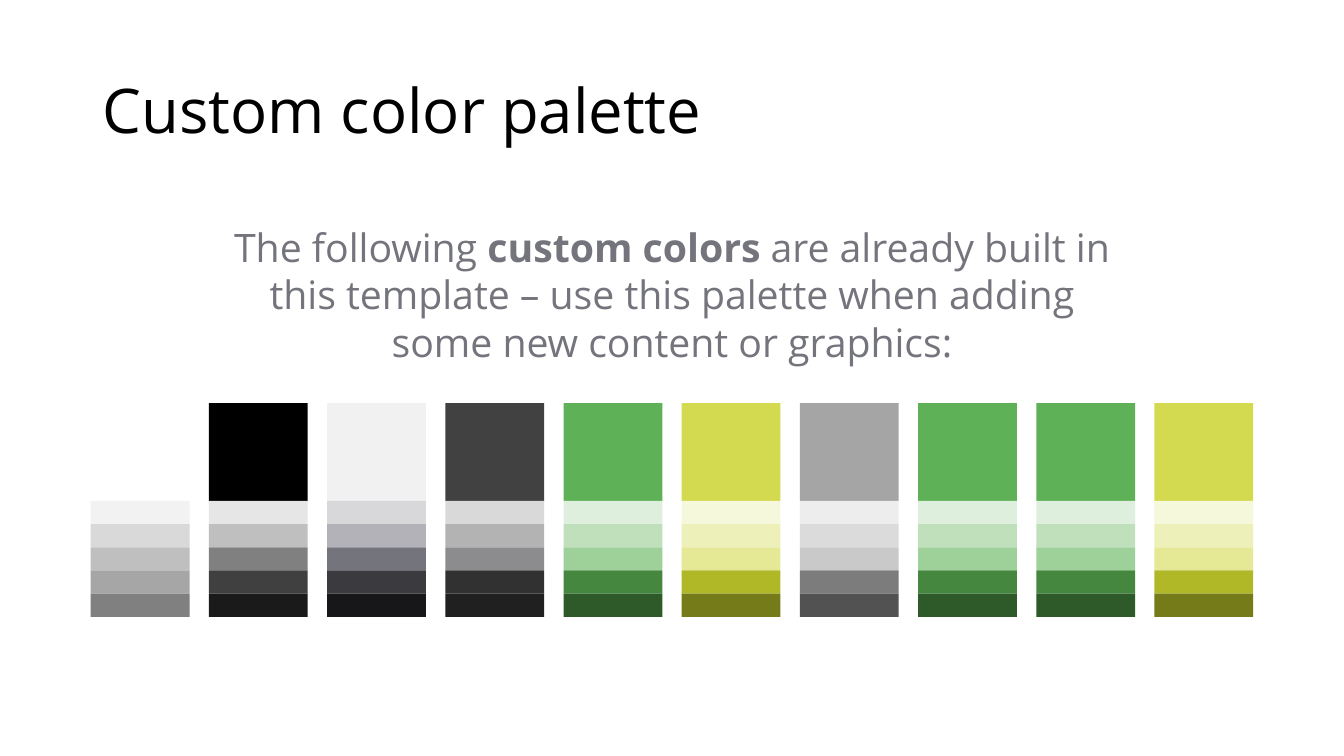
import pptx
import pptx.dml.color
import pptx.enum.shapes
import pptx.enum.text
import pptx.util

Inches = pptx.util.Inches
Pt = pptx.util.Pt
PP_ALIGN = pptx.enum.text.PP_ALIGN
MSO_ANCHOR = pptx.enum.text.MSO_ANCHOR

WHITES = ["FFFFFF", "F2F2F2", "D9D9D9", "BFBFBF", "A6A6A6", "808080"]
BLACKS = ["000000", "E6E6E6", "BFBFBF", "808080", "404040", "1A1A1A"]
PALE_GRAYS = ["F1F1F2", "D8D8DB", "B2B2B8", "74747D", "3A3A3F", "171719"]
DARK_GRAYS = ["414142", "D9D9D9", "B3B3B4", "8C8C8E", "313132", "202021"]
GREENS = ["5EB156", "DFEFDD", "BFE0BB", "9ED09A", "45873E", "2E5A2A"]
LIMES = ["D3DA50", "F6F8DC", "EDF0B9", "E5E996", "B1B827", "767B1A"]
MID_GRAYS = ["A5A5A5", "EDEDED", "DBDBDB", "C9C9C9", "7C7C7C", "525252"]
PALETTE = [WHITES, BLACKS, PALE_GRAYS, DARK_GRAYS, GREENS,
           LIMES, MID_GRAYS, GREENS, GREENS, LIMES]

PALETTE_LEFT, PALETTE_TOP = 0.9, 4
COLUMN_STEP = (11.45 - PALETTE_LEFT) / (len(PALETTE) - 1)
SWATCH_WIDTH, BASE_HEIGHT, TINT_HEIGHT = 0.98, 0.97, 0.23


def color(hex_code):
    return pptx.dml.color.RGBColor.from_string(hex_code)


class PaletteSlide:
    font = "Open Sans"

    def __init__(self, slide):
        self.slide = slide

    def text(self, left, top, width, height, runs, size, hex_code,
             align=PP_ALIGN.LEFT, anchor=MSO_ANCHOR.TOP, spacing=None):
        """Add one paragraph; runs are (wording, bold) pairs."""
        box = self.slide.shapes.add_textbox(
            Inches(left), Inches(top), Inches(width), Inches(height))
        frame = box.text_frame
        frame.word_wrap = True
        frame.vertical_anchor = anchor
        paragraph = frame.paragraphs[0]
        paragraph.alignment = align
        paragraph.line_spacing = spacing
        paragraph.font.name = self.font
        paragraph.font.size = Pt(size)
        paragraph.font.color.rgb = color(hex_code)
        for wording, bold in runs:
            run = paragraph.add_run()
            run.text = wording
            if bold:
                run.font.bold = True

    def swatch(self, left, top, height, hex_code):
        block = self.slide.shapes.add_shape(
            pptx.enum.shapes.MSO_SHAPE.RECTANGLE,
            Inches(left), Inches(top), Inches(SWATCH_WIDTH), Inches(height))
        block.shadow.inherit = False
        block.fill.solid()
        block.fill.fore_color.rgb = color(hex_code)
        block.line.fill.background()

    def color_column(self, left, shades):
        """Stack a base color above its five tints and shades."""
        base, *tints = shades
        self.swatch(left, PALETTE_TOP, BASE_HEIGHT, base)
        for row, tint in enumerate(tints):
            top = PALETTE_TOP + BASE_HEIGHT + row * TINT_HEIGHT
            self.swatch(left, top, TINT_HEIGHT, tint)


def main():
    deck = pptx.Presentation()
    deck.slide_width, deck.slide_height = Inches(13.33), Inches(7.5)
    page = PaletteSlide(deck.slides.add_slide(deck.slide_layouts[6]))

    page.text(0.92, 0.4, 11.5, 1.45, [("Custom color palette", False)],
              44, "000000", anchor=MSO_ANCHOR.MIDDLE, spacing=0.9)
    for column, shades in enumerate(PALETTE):
        page.color_column(PALETTE_LEFT + column * COLUMN_STEP, shades)
    page.text(2.07, 2.17, 9.19, 1.51,
              [("The following ", False), ("custom colors ", True),
               ("are already built in this template – use this palette "
                "when adding some new content or graphics:", False)],
              28, "74747D", align=PP_ALIGN.CENTER)

    deck.save("out.pptx")


if __name__ == "__main__":
    main()
